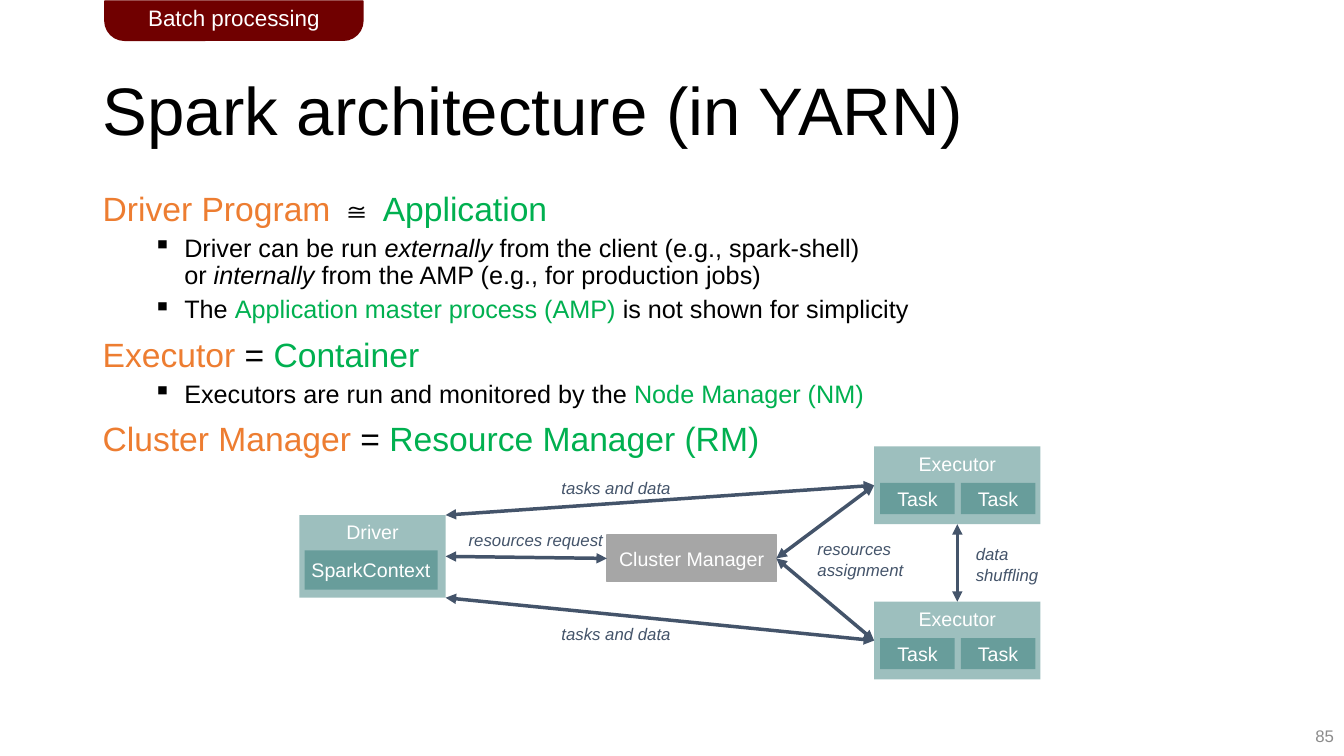
import pptx
import pptx.util
import pptx.dml.color
import pptx.enum.shapes
import pptx.enum.text
import pptx.oxml
import pptx.oxml.ns
import pptx.oxml.xmlchemy
from dataclasses import dataclass
from lxml import etree

MSO_SHAPE = pptx.enum.shapes.MSO_SHAPE
ALIGN = pptx.enum.text.PP_ALIGN
ANCHOR = pptx.enum.text.MSO_ANCHOR
AUTO_SIZE = pptx.enum.text.MSO_AUTO_SIZE


@dataclass(frozen=True)
class Theme:
    font: str = "Arial"
    ink: str = "000000"
    spark: str = "ED7D31"
    yarn: str = "00B050"
    banner: str = "700000"
    manager: str = "A6A6A6"
    node: str = "9DBFBE"
    inner: str = "689D9B"
    arrow: str = "44546A"
    white: str = "FFFFFF"
    muted: str = "8C8C8C"
    title_size: int = 48
    heading_size: int = 24
    point_size: int = 18
    banner_size: int = 16
    box_size: int = 14
    label_size: int = 12


THEME = Theme()

# Content: each paragraph is a list of (text, colour) or (text, colour, italic)
TITLE = "Spark architecture (in YARN)"
BANNER = "Batch processing"
PAGE = "85"
INK, SPARK, YARN = THEME.ink, THEME.spark, THEME.yarn
BODY = [
    ("heading", [("Driver Program ", SPARK), ("≅ ", INK), ("Application", YARN)]),
    ("point", [("Driver can be run ", INK), ("externally ", INK, True),
               ("from the client (e.g., spark-shell) \nor ", INK),
               ("internally ", INK, True),
               ("from the AMP (e.g., for production jobs)", INK)]),
    ("point", [("The ", INK), ("Application master process (AMP) ", YARN),
               ("is not shown for simplicity", INK)]),
    ("heading", [("Executor", SPARK), (" = ", INK), ("Container", YARN)]),
    ("point", [("Executors are run and monitored by the ", INK),
               ("Node Manager (NM)", YARN)]),
    ("heading", [("Cluster Manager ", SPARK), ("= ", INK),
                 ("Resource Manager (RM)", YARN)]),
]
LABELS = [  # lines, left, top, width, height
    (["resources request"], 455, 521, 154, 30),
    (["tasks and data"], 547, 469, 129, 30),
    (["tasks and data"], 547, 614, 129, 30),
    (["resources", "assignment"], 801, 530, 106, 50),
    (["data", "shuffling"], 958, 535, 83, 50),
]
EXECUTOR_TOPS = [443, 597]
TASK_OFFSETS = [6, 86]
LEFT_SIDE, RIGHT_SIDE, TOP_SIDE, BOTTOM_SIDE = 1, 3, 0, 2


def px(length):
    """100 px to the inch."""
    return pptx.util.Emu(length * 9144)


def rgb(colour):
    return pptx.dml.color.RGBColor.from_string(colour)


def write(holder, paragraphs, size=THEME.label_size, colour=INK, italic=False,
          align=ALIGN.LEFT, anchor=ANCHOR.TOP, wrap=True, inset=None, spacing=None):
    """Fill a shape with text; a paragraph is a string or a (kind, runs) pair."""
    frame = holder.text_frame
    frame.word_wrap, frame.vertical_anchor = wrap, anchor
    if inset is not None:
        frame.margin_left = frame.margin_right = px(inset)
    for index, item in enumerate(paragraphs):
        kind, runs = ("plain", [(item, colour, italic)]) if isinstance(item, str) else item
        paragraph = frame.paragraphs[0] if index == 0 else frame.add_paragraph()
        paragraph.alignment = align
        if spacing:
            paragraph.line_spacing = spacing
        run_size = size
        if kind == "point":
            run_size = THEME.point_size
            properties = paragraph._p.get_or_add_pPr()
            properties.set("marL", str(px(81)))
            properties.set("indent", str(px(-31)))
            properties.set("lvl", "1")
            bullet = etree.SubElement(properties, pptx.oxml.ns.qn("a:buChar"))
            bullet.set("char", "▪")
        if index and kind != "plain":
            paragraph.space_before = pptx.util.Pt(5 if kind == "point" else 10)
        for text, run_colour, *slant in runs:
            for number, line in enumerate(text.split("\n")):
                if number:
                    paragraph.add_line_break()
                run = paragraph.add_run()
                run.text = line
                run.font.name = THEME.font
                run.font.size = pptx.util.Pt(run_size)
                run.font.italic = bool(slant and slant[0])
                run.font.color.rgb = rgb(run_colour)


def add_text(slide, paragraphs, left, top, width, height, **style):
    box = slide.shapes.add_textbox(px(left), px(top), px(width), px(height))
    write(box, paragraphs, **style)
    return box


def add_box(slide, text, left, top, width, height, fill, outline=False,
            preset=MSO_SHAPE.RECTANGLE, size=THEME.box_size, anchor=ANCHOR.MIDDLE, **style):
    box = slide.shapes.add_shape(preset, px(left), px(top), px(width), px(height))
    box.shadow.inherit = False
    box.fill.solid()
    box.fill.fore_color.rgb = rgb(fill)
    if outline:
        box.line.color.rgb = rgb(fill)
        box.line.width = pptx.util.Pt(1)
    else:
        box.line.fill.background()
    write(box, [text], size=size, colour=THEME.white, align=ALIGN.CENTER,
          anchor=anchor, **style)
    return box


def add_arrow(slide, start, end):
    """Each end is (shape, side), or an (x, y) point in px."""
    arrow = slide.shapes.add_connector(
        pptx.enum.shapes.MSO_CONNECTOR.STRAIGHT, 0, 0, 0, 0)
    if isinstance(start[0], int):
        arrow.begin_x, arrow.begin_y = px(start[0]), px(start[1])
    else:
        arrow.begin_connect(*start)
    arrow.end_connect(*end)
    arrow.line.color.rgb = rgb(THEME.arrow)
    arrow.line.width = pptx.util.Pt(2.5)
    line = arrow.line._get_or_add_ln()
    for tag in ("a:headEnd", "a:tailEnd"):
        etree.SubElement(line, pptx.oxml.ns.qn(tag)).set("type", "triangle")
    etree.SubElement(arrow._element.spPr, pptx.oxml.ns.qn("a:effectLst"))


def add_executor(slide, top):
    executor = add_box(slide, "Executor", 867, top, 165, 77, THEME.node, anchor=ANCHOR.TOP)
    for offset in TASK_OFFSETS:
        add_box(slide, "Task", 867 + offset, top + 36, 74, 31, THEME.inner)
    return executor


def main():
    deck = pptx.Presentation()
    deck.slide_width, deck.slide_height = px(1333), px(750)
    slide = deck.slides.add_slide(deck.slide_layouts[6])

    # Title, body and page number
    add_text(slide, [TITLE], 92, 40, 1150, 145, size=THEME.title_size,
             anchor=ANCHOR.MIDDLE, spacing=0.9)
    add_text(slide, BODY, 92, 186, 1150, 476, size=THEME.heading_size, spacing=0.9)
    add_text(slide, [PAGE], 1033, 710, 300, 40, colour=THEME.muted,
             align=ALIGN.RIGHT, anchor=ANCHOR.MIDDLE)

    # Cluster nodes
    manager = add_box(slide, "Cluster Manager", 602, 531, 168, 46, THEME.manager, outline=True)
    driver = add_box(slide, "Driver", 297, 511, 145, 82, THEME.node, anchor=ANCHOR.TOP)
    add_box(slide, "SparkContext", 302, 546, 132, 39, THEME.inner, inset=4)
    executors = [add_executor(slide, top) for top in EXECUTOR_TOPS]

    # Arrows between the nodes
    upper, lower = executors
    add_arrow(slide, (upper, BOTTOM_SIDE), (lower, TOP_SIDE))
    add_arrow(slide, (driver, RIGHT_SIDE), (manager, LEFT_SIDE))
    for executor, driver_corner in zip(executors, [(442, 511), (442, 593)]):
        add_arrow(slide, (manager, RIGHT_SIDE), (executor, LEFT_SIDE))
        add_arrow(slide, driver_corner, (executor, LEFT_SIDE))

    # Arrow labels
    for lines, *place in LABELS:
        label = add_text(slide, lines, *place, colour=THEME.arrow, italic=True, wrap=False)
        label.text_frame.auto_size = AUTO_SIZE.SHAPE_TO_FIT_TEXT

    # Section banner
    banner = add_box(slide, BANNER, 104, 1, 256, 39, THEME.banner, outline=True,
                     preset=MSO_SHAPE.ROUND_2_SAME_RECTANGLE, size=THEME.banner_size)
    banner.adjustments[0], banner.adjustments[1] = 0, 0.5

    deck.save("out.pptx")


if __name__ == "__main__":
    main()
